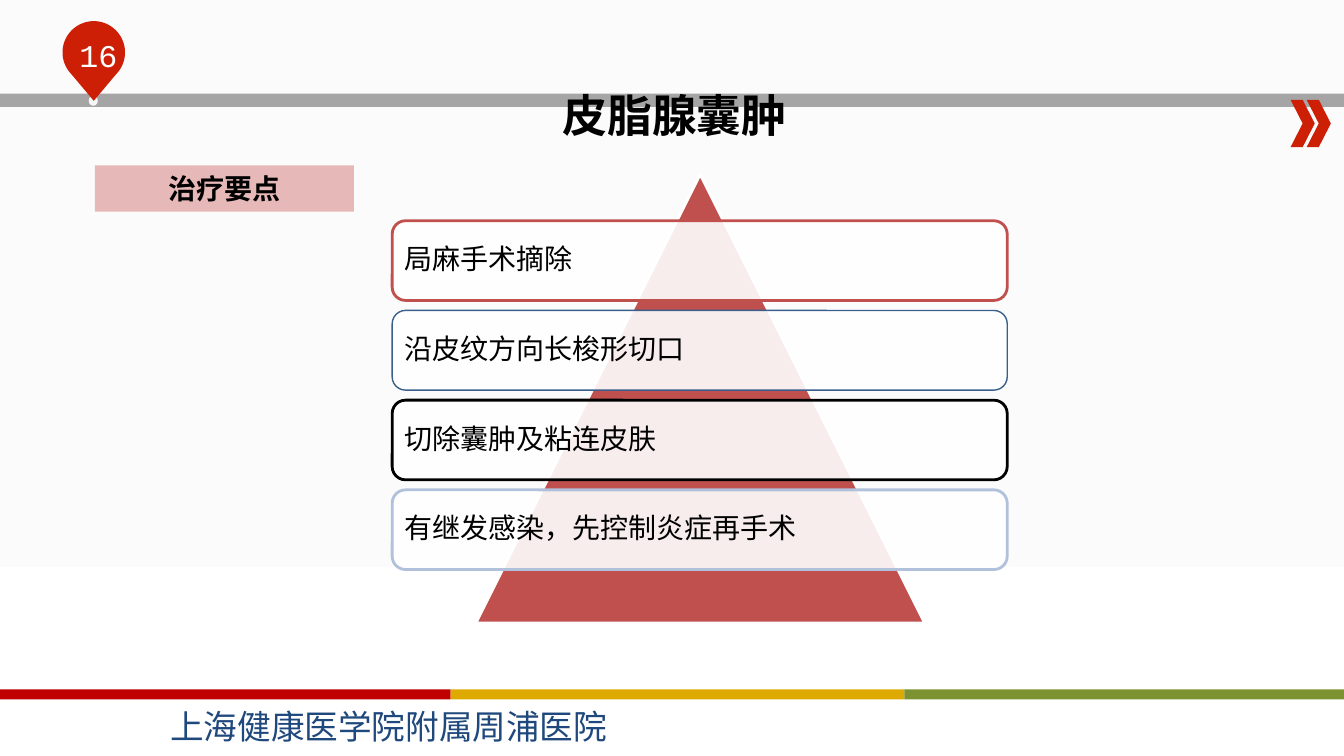
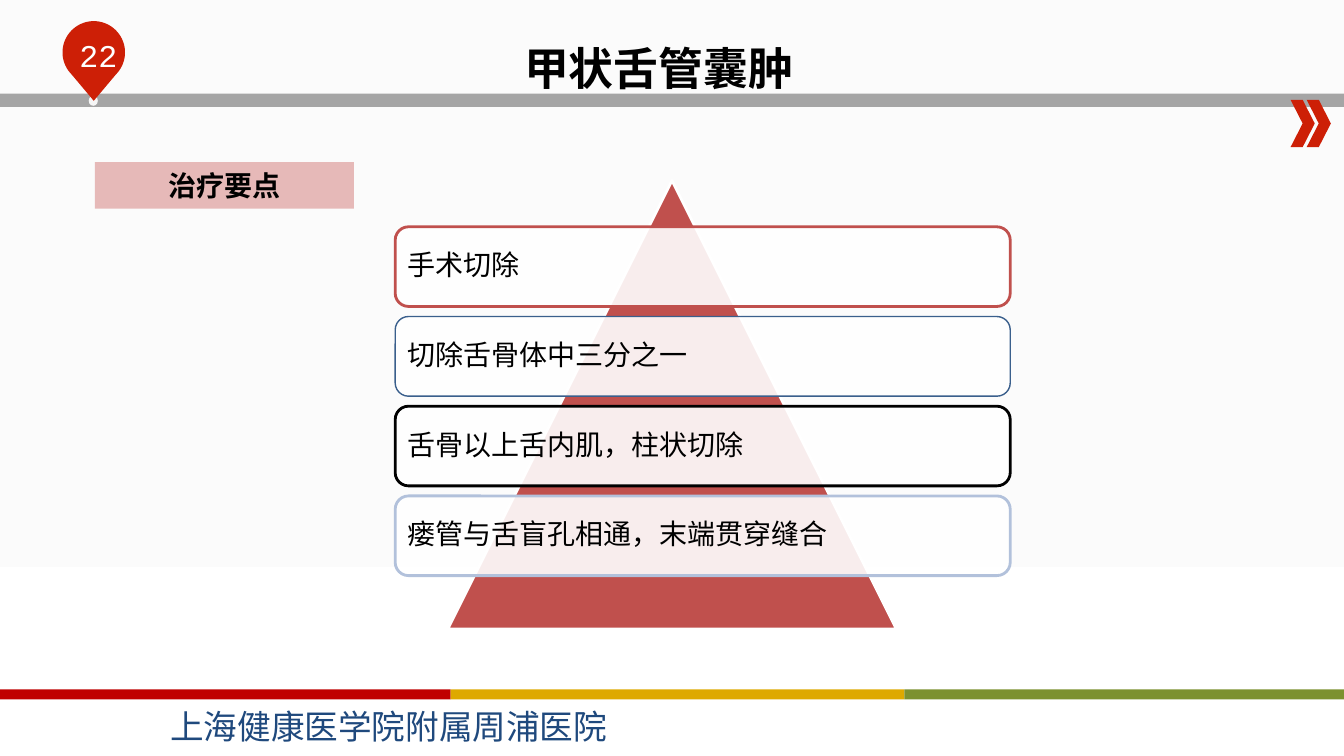
from math import cos, radians, sin

from lxml.etree import SubElement
from pptx import Presentation
from pptx.dml.color import RGBColor
from pptx.enum.shapes import MSO_SHAPE
from pptx.enum.text import MSO_ANCHOR, PP_ALIGN
from pptx.oxml.ns import qn
from pptx.util import Inches, Pt

COLORS = {
    "backdrop": "FBFBFB",
    "white": "FFFFFF",
    "black": "000000",
    "band": "A5A5A5",
    "accent": "CD1F06",
    "pin_dot": "F6F6F6",
    "footer_text": "1F497D",
    "label": "E6B9B8",
    "pyramid": "C0504D",
    "blue_outline": "3A5F8C",
    "pale_outline": "B2C1DB",
    "footer_red": "C00000",
    "footer_yellow": "DEA900",
    "footer_green": "7C912F",
}
BODY_FONT = "Times New Roman"
CHINESE_FONT = "Noto Sans CJK SC"
NUMBER_FONT = "Courier New"
FOOTER = "上海健康医学院附属周浦医院"
LABEL = "治疗要点"
SLIDE_WIDTH, SLIDE_HEIGHT = 13.33, 7.5
BAR_OUTLINES = [("pyramid", 2), ("blue_outline", 1), ("black", 2), ("pale_outline", 2)]

SLIDES = [
    {
        "number": "16",
        "title": "皮脂腺囊肿",
        "title_box": (5.48, 0.55, 2.45, 0.91),
        "label_top": 1.64,
        "pyramid_box": (4.72, 1.73, 4.45, 4.45),
        "bars_left": 3.89,
        "steps": ["局麻手术摘除", "沿皮纹方向长梭形切口", "切除囊肿及粘连皮肤", "有继发感染，先控制炎症再手术"],
    },
    {
        "number": "22",
        "title": "甲状舌管囊肿",
        "title_box": (5.1, 0.09, 2.9, 0.91),
        "label_top": 1.61,
        "pyramid_box": (4.44, 1.79, 4.45, 4.45),
        "bars_left": 3.92,
        "steps": ["手术切除", "切除舌骨体中三分之一", "舌骨以上舌内肌，柱状切除", "瘘管与舌盲孔相通，末端贯穿缝合"],
    },
]


def color(name):
    return RGBColor.from_string(COLORS[name])


def paint(shape, fill, outline=None, width=1, opacity=None):
    shape.shadow.inherit = False
    shape.fill.solid()
    shape.fill.fore_color.rgb = color(fill)
    if opacity is not None:
        tone = shape.fill._xPr.find(qn("a:solidFill"))[0]
        SubElement(tone, qn("a:alpha"), val=str(opacity * 1000))
    if outline:
        shape.line.color.rgb = color(outline)
        shape.line.width = Pt(width)
    else:
        shape.line.fill.background()


def add_shape(slide, kind, box, fill, **style):
    shape = slide.shapes.add_shape(kind, *map(Inches, box))
    paint(shape, fill, **style)
    return shape


def write(shape, text, size, font=BODY_FONT, tone="black", bold=False, align=PP_ALIGN.LEFT,
          anchor=MSO_ANCHOR.TOP, spacing=None, wrap=True, insets=(0.1, 0.05)):
    frame = shape.text_frame
    frame.word_wrap = wrap
    frame.vertical_anchor = anchor
    frame.margin_left = frame.margin_right = Inches(insets[0])
    frame.margin_top = frame.margin_bottom = Inches(insets[1])
    paragraph = frame.paragraphs[0]
    paragraph.alignment = align
    if spacing:
        paragraph.line_spacing = spacing
    run = paragraph.add_run()
    run.text = text
    run.font.size = Pt(size)
    run.font.bold = bold
    run.font.color.rgb = color(tone)
    run.font.name = font
    SubElement(run._r.get_or_add_rPr(), qn("a:ea"), typeface=CHINESE_FONT)


def add_text(slide, box, text, size, **style):
    write(slide.shapes.add_textbox(*map(Inches, box)), text, size, **style)


def set_background(presentation):
    fill = presentation.slide_master.background.fill
    fill.gradient()
    fill.gradient_angle = 270
    for stop, (position, name) in zip(fill.gradient_stops, [(0.5, "backdrop"), (1, "white")]):
        stop.position = position
        stop.color.rgb = color(name)


def add_pin(slide, box, number):
    left, top, width, height = box
    radius = width / 2
    center_x, center_y = left + radius, top + radius
    add_shape(slide, MSO_SHAPE.OVAL, (center_x - 0.05, top + 0.74, 0.09, 0.1), "pin_dot")
    outline = [
        (Inches(center_x + radius * cos(radians(angle))), Inches(center_y + radius * sin(radians(angle))))
        for angle in range(135, 406, 5)
    ]
    outline.append((Inches(center_x), Inches(top + height)))
    builder = slide.shapes.build_freeform(*outline[0])
    builder.add_line_segments(outline[1:], close=True)
    paint(builder.convert_to_shape(), "accent")
    add_text(slide, (left - 0.08, top + 0.1, 0.87, 0.4), number, 22.6,
             font=NUMBER_FONT, tone="white", align=PP_ALIGN.CENTER)


def add_header(slide, number):
    add_shape(slide, MSO_SHAPE.RECTANGLE, (0, 0.93, SLIDE_WIDTH, 0.13), "band")
    for left in (12.8, 12.96):
        add_shape(slide, MSO_SHAPE.CHEVRON, (left, 0.99, 0.24, 0.47), "accent")
    add_pin(slide, (0.62, 0.21, 0.62, 0.79), number)


def add_footer(slide, top):
    edges = [0, 4.47, 8.97, SLIDE_WIDTH]
    names = ["footer_red", "footer_yellow", "footer_green"]
    for left, right, name in zip(edges, edges[1:], names):
        add_shape(slide, MSO_SHAPE.RECTANGLE, (left, top, right - left, 0.1), name)
    add_text(slide, (1.59, top + 0.11, 4.53, 0.5), FOOTER, 24,
             font=CHINESE_FONT, tone="footer_text", wrap=False)


def add_label(slide, box):
    shape = add_shape(slide, MSO_SHAPE.RECTANGLE, box, "label")
    write(shape, LABEL, 20, bold=True, align=PP_ALIGN.CENTER,
          anchor=MSO_ANCHOR.MIDDLE, insets=(0.12, 0.06))


def add_pyramid_list(slide, pyramid_box, bars_left, steps):
    add_shape(slide, MSO_SHAPE.ISOSCELES_TRIANGLE, pyramid_box, "pyramid", outline="white", width=2)
    first_top = pyramid_box[1] + 0.46
    for index, (text, (outline, width)) in enumerate(zip(steps, BAR_OUTLINES)):
        box = (bars_left, first_top + index * 0.89, 6.1, 0.79)
        bar = add_shape(slide, MSO_SHAPE.ROUNDED_RECTANGLE, box, "white",
                        outline=outline, width=width, opacity=90)
        write(bar, text, 20, anchor=MSO_ANCHOR.MIDDLE, spacing=0.9, insets=(0.08, 0.08))


def add_treatment_slide(presentation, content):
    slide = presentation.slides.add_slide(presentation.slide_layouts[6])
    add_header(slide, content["number"])
    add_footer(slide, 6.84)
    add_label(slide, (0.94, content["label_top"], 2.57, 0.46))
    add_pyramid_list(slide, content["pyramid_box"], content["bars_left"], content["steps"])
    add_text(slide, content["title_box"], content["title"], 32, bold=True, spacing=1.5, wrap=False)


def main():
    presentation = Presentation()
    presentation.slide_width = Inches(SLIDE_WIDTH)
    presentation.slide_height = Inches(SLIDE_HEIGHT)
    set_background(presentation)
    for content in SLIDES:
        add_treatment_slide(presentation, content)
    presentation.save("out.pptx")


if __name__ == "__main__":
    main()
